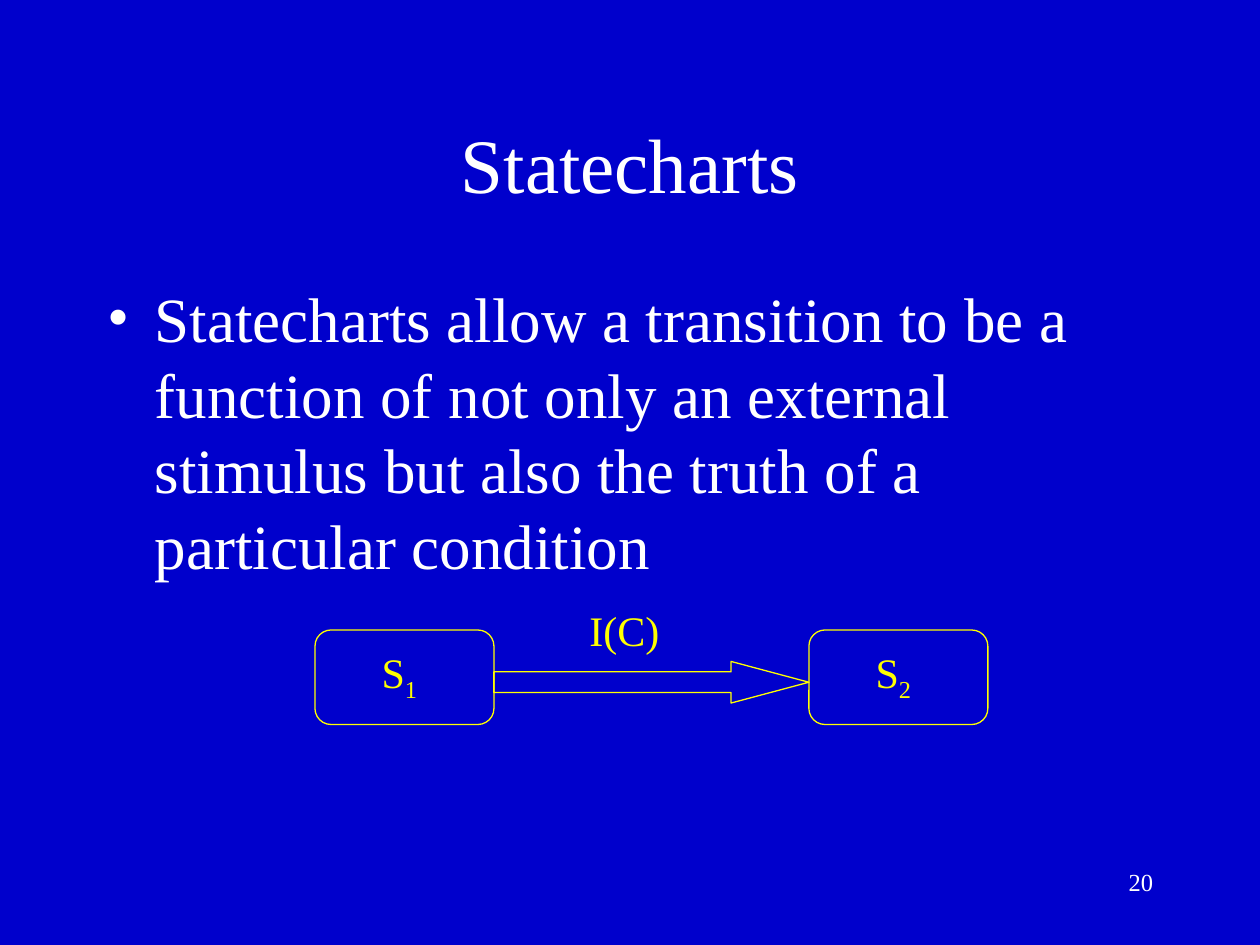
from pptx import Presentation
from pptx import util as u
from pptx.dml.color import RGBColor
from pptx.enum import shapes, text
from lxml import etree

COLORS = {"background": "0000CC", "text": "FFFFFF", "diagram": "FFFF00"}
FONT = "Times New Roman"
NS = "http://schemas.openxmlformats.org/drawingml/2006/main"


def rgb(name):
    return RGBColor.from_string(COLORS[name])


def place(sp, left, top, width, height):
    sp.left, sp.top = u.Inches(left), u.Inches(top)
    sp.width, sp.height = u.Inches(width), u.Inches(height)


def style_runs(p, size, color):
    for r in p.runs:
        r.font.size = u.Pt(size)
        r.font.name = FONT
        r.font.color.rgb = rgb(color)


def add_bullet(p, color):
    pPr = p._p.get_or_add_pPr()
    pPr.set("marL", str(u.Inches(0.38)))
    pPr.set("indent", str(-u.Inches(0.38)))
    clr = etree.SubElement(pPr, f"{{{NS}}}buClr")
    etree.SubElement(clr, f"{{{NS}}}srgbClr", val=COLORS[color])
    etree.SubElement(pPr, f"{{{NS}}}buFont", typeface=FONT)
    etree.SubElement(pPr, f"{{{NS}}}buChar", char="•")


def fill_placeholder(sp, box, words, size, anchor, align):
    place(sp, *box)
    tf = sp.text_frame
    tf.text = words
    tf.word_wrap = True
    tf.auto_size = text.MSO_AUTO_SIZE.NONE
    tf.vertical_anchor = anchor
    p = tf.paragraphs[0]
    p.alignment = align
    p.space_before = u.Pt(0)
    style_runs(p, size, "text")
    return p


def add_outline(s, kind, left, top, width, height, adjustments):
    sp = s.shapes.add_shape(kind, 0, 0, 0, 0)
    place(sp, left, top, width, height)
    for i, value in enumerate(adjustments):
        sp.adjustments[i] = value
    sp.fill.background()
    sp.line.color.rgb = rgb("diagram")
    sp.line.width = u.Pt(0.75)
    sp.shadow.inherit = False


def add_text(s, box, words, size, color):
    sp = s.shapes.add_textbox(0, 0, 0, 0)
    place(sp, *box)
    tf = sp.text_frame
    tf.word_wrap = True
    p = tf.paragraphs[0]
    p.text = words
    style_runs(p, size, color)
    return tf


def add_label(s, box, words, subscript=""):
    tf = add_text(s, box, words, 24, "diagram")
    tf.word_wrap = False
    tf.auto_size = text.MSO_AUTO_SIZE.SHAPE_TO_FIT_TEXT
    if subscript:
        p = tf.paragraphs[0]
        r = p.add_run()
        r.text = subscript
        r.font._element.set("baseline", "-25000")
        style_runs(p, 24, "diagram")


def main():
    prs = Presentation()
    prs.slide_width, prs.slide_height = u.Inches(10), u.Inches(7.5)
    s = prs.slides.add_slide(prs.slide_layouts[1])
    s.background.fill.solid()
    s.background.fill.fore_color.rgb = rgb("background")

    # Title and bullet
    fill_placeholder(s.shapes.title, (0.75, 0.67, 8.5, 1.25), "Statecharts", 44,
                     text.MSO_ANCHOR.MIDDLE, text.PP_ALIGN.CENTER)
    p = fill_placeholder(
        s.placeholders[1], (0.75, 2.17, 8.5, 4.5),
        "Statecharts allow a transition to be a function of not only an external "
        "stimulus but also the truth of a particular condition",
        36, text.MSO_ANCHOR.TOP, text.PP_ALIGN.LEFT)
    add_bullet(p, "text")

    # States
    state_w, state_h, state_top = 1.42, 0.75, 5
    lefts = (2.5, 6.42)
    for left in lefts:
        add_outline(s, shapes.MSO_SHAPE.ROUNDED_RECTANGLE,
                    left, state_top, state_w, state_h, [0.17])

    # Transition between the states
    start = lefts[0] + state_w
    add_outline(s, shapes.MSO_SHAPE.RIGHT_ARROW,
                start, 5.25, lefts[1] - start, 0.33, [0.5, 1.87])

    # Labels
    for number, left in enumerate(lefts, 1):
        add_label(s, (left + 0.43, 5.08, 0.48, 0.56), "S", str(number))
    add_label(s, (4.58, 4.75, 0.78, 0.5), "I(C)")

    # Page number
    tf = add_text(s, (7.17, 6.83, 2.08, 0.5), "20", 14, "text")
    tf.paragraphs[0].alignment = text.PP_ALIGN.RIGHT

    prs.save("out.pptx")


if __name__ == "__main__":
    main()
